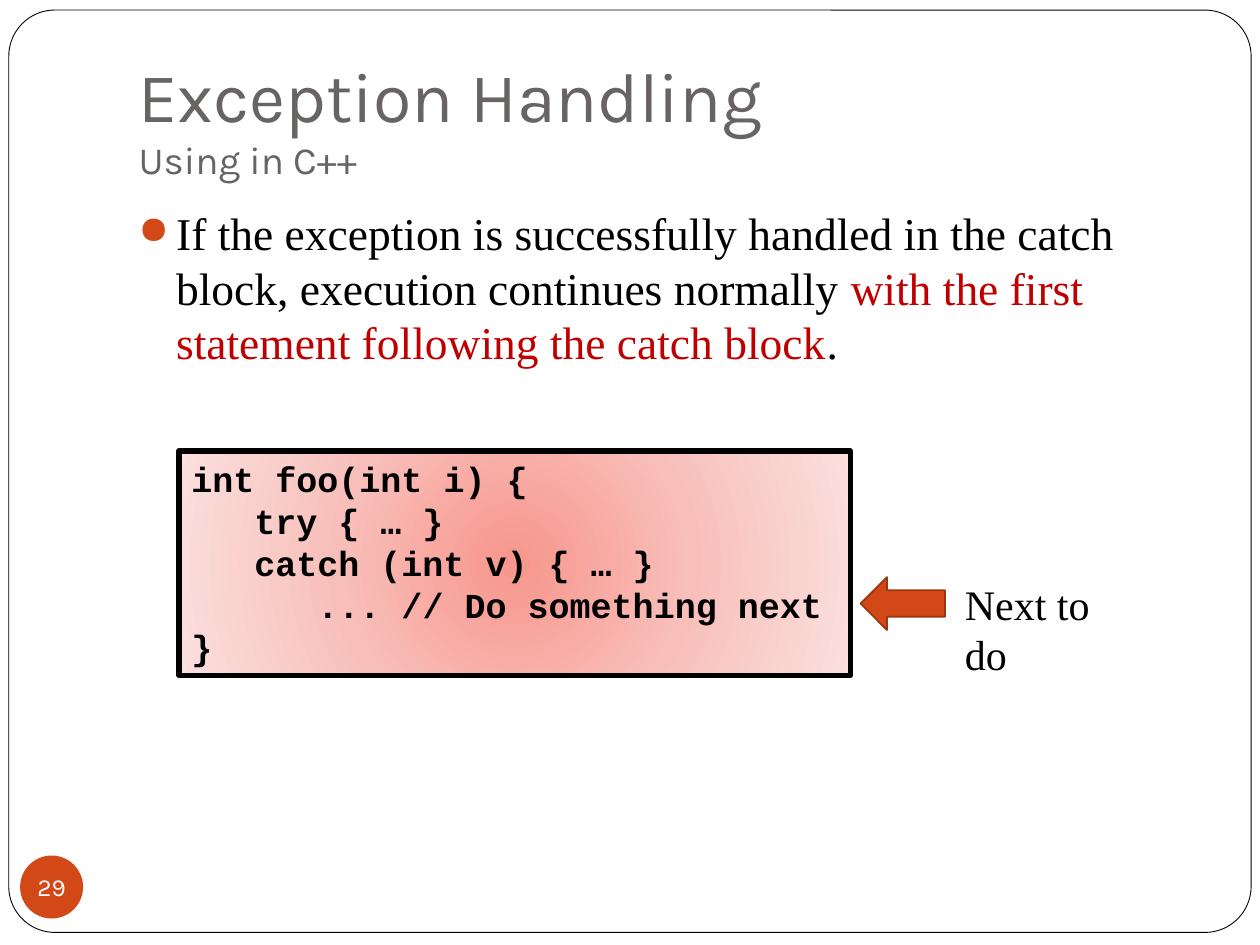
from dataclasses import dataclass

from lxml import etree
from pptx import Presentation
from pptx.dml.color import RGBColor
from pptx.enum.shapes import MSO_SHAPE
from pptx.enum.text import MSO_ANCHOR, PP_ALIGN
from pptx.oxml import parse_xml
from pptx.oxml.ns import nsdecls, qn
from pptx.util import Inches, Pt

ROUNDED, OVAL = MSO_SHAPE.ROUNDED_RECTANGLE, MSO_SHAPE.OVAL
RECTANGLE, LEFT_ARROW = MSO_SHAPE.RECTANGLE, MSO_SHAPE.LEFT_ARROW
TOP, MIDDLE, BOTTOM = MSO_ANCHOR.TOP, MSO_ANCHOR.MIDDLE, MSO_ANCHOR.BOTTOM
LEFT, CENTER = PP_ALIGN.LEFT, PP_ALIGN.CENTER

WIDTH, HEIGHT = Inches(10), Inches(7.5)
COLUMNS, ROWS = 100, 75


@dataclass(frozen=True)
class Style:
    font: str
    size: float
    color: str
    bold: bool = False


@dataclass(frozen=True)
class Theme:
    accent: str = "D34817"
    arrow_edge: str = "9C3511"
    ink: str = "000000"
    paper: str = "FFFFFF"
    glow: tuple = ((0, "F7968C"), (50, "F8BFBA"), (100, "FBE0DE"))
    title: Style = Style("Karla", 40, "696464")
    subtitle: Style = Style("Karla", 22, "696464")
    body: Style = Style("Times New Roman", 26, "000000")
    emphasis: Style = Style("Times New Roman", 26, "C00000")
    code: Style = Style("Courier New", 20, "000000", True)
    label: Style = Style("Times New Roman", 24, "000000")
    number: Style = Style("Karla", 14, "FFFFFF")


@dataclass(frozen=True)
class Area:
    column: float
    row: float
    columns: float
    rows: float

    def emu(self) -> tuple:
        across, down = WIDTH / COLUMNS, HEIGHT / ROWS
        return (int(self.column * across), int(self.row * down),
                int(self.columns * across), int(self.rows * down))


@dataclass(frozen=True)
class Figure:
    kind: int
    area: Area
    fill: str
    edge: str = ""
    edge_width: float = 0


THEME = Theme()
FRAME = Figure(ROUNDED, Area(0.7, 0.8, 98.6, 73.2), THEME.paper, THEME.ink, 0.5)
BADGE = Figure(OVAL, Area(1.6, 67.9, 5, 5), THEME.accent)
CODE_BOX = Figure(RECTANGLE, Area(14.2, 35.8, 53.3, 17.8), THEME.paper, THEME.ink, 3)
POINTER = Figure(LEFT_ARROW, Area(68.3, 45.8, 6.7, 4.2), THEME.accent, THEME.arrow_edge, 1)
TITLE_AREA = Area(10, 3, 85, 12.5)
BODY_AREA = Area(10, 15.8, 85, 50)
LABEL_AREA = Area(75.6, 45.4, 15.3, 5)

STATEMENT = (
    ("If the exception is successfully handled in the catch block, "
     "execution continues normally ", THEME.body),
    ("with the first statement following the catch block", THEME.emphasis),
    (".", THEME.body),
)
CODE_LINES = (
    "int foo(int i) {",
    "\ttry { … }",
    "\tcatch (int v) { … }",
    "      ... // Do something next",
    "}",
)


def add_run(paragraph, text: str, style: Style) -> None:
    run = paragraph.add_run()
    run.text = text
    run.font.name = style.font
    run.font.size = Pt(style.size)
    run.font.bold = style.bold
    run.font.color.rgb = RGBColor.from_string(style.color)


def draw_figure(slide, figure: Figure):
    shape = slide.shapes.add_shape(figure.kind, *figure.area.emu())
    shape.shadow.inherit = False
    shape.fill.solid()
    shape.fill.fore_color.rgb = RGBColor.from_string(figure.fill)
    if figure.edge:
        shape.line.color.rgb = RGBColor.from_string(figure.edge)
        shape.line.width = Pt(figure.edge_width)
    else:
        shape.line.fill.background()
    return shape


def add_text_area(slide, area: Area):
    frame = slide.shapes.add_textbox(*area.emu()).text_frame
    frame.word_wrap = True
    return frame


def apply_glow(shape, stops: tuple) -> None:
    marks = "".join(
        f'<a:gs pos="{share * 1000}"><a:srgbClr val="{color}"/></a:gs>'
        for share, color in stops)
    gradient = parse_xml(
        f'<a:gradFill {nsdecls("a")}><a:gsLst>{marks}</a:gsLst><a:path path="circle">'
        '<a:fillToRect l="50000" t="50000" r="50000" b="50000"/></a:path></a:gradFill>')
    properties = shape.element.spPr
    properties.replace(properties.find(qn("a:solidFill")), gradient)


def add_bullet(paragraph, mark: str, color: str, percent: int, indent: float) -> None:
    properties = paragraph._p.get_or_add_pPr()
    properties.set("marL", str(Inches(indent)))
    properties.set("indent", str(-Inches(indent)))
    bullet_color = etree.SubElement(properties, qn("a:buClr"))
    etree.SubElement(bullet_color, qn("a:srgbClr"), val=color)
    etree.SubElement(properties, qn("a:buSzPct"), val=str(percent * 1000))
    etree.SubElement(properties, qn("a:buChar"), char=mark)


def draw_title(slide):
    title = slide.shapes.title
    title.left, title.top, title.width, title.height = TITLE_AREA.emu()
    frame = title.text_frame
    frame.vertical_anchor = BOTTOM
    frame.margin_bottom = Inches(0.1)
    heading = frame.paragraphs[0]
    heading.alignment = LEFT
    add_run(heading, "Exception Handling", THEME.title)
    heading.add_line_break()
    add_run(heading, "Using in C++", THEME.subtitle)
    return title


def draw_statement(slide) -> None:
    statement = add_text_area(slide, BODY_AREA).paragraphs[0]
    add_bullet(statement, "●", THEME.accent, 85, 0.3)
    for text, style in STATEMENT:
        add_run(statement, text, style)


def draw_page_number(slide) -> None:
    frame = draw_figure(slide, BADGE).text_frame
    frame.margin_left = frame.margin_right = frame.margin_top = frame.margin_bottom = 0
    frame.word_wrap = False
    frame.vertical_anchor = MIDDLE
    frame.paragraphs[0].alignment = CENTER
    add_run(frame.paragraphs[0], "29", THEME.number)


def draw_code(slide) -> None:
    box = draw_figure(slide, CODE_BOX)
    apply_glow(box, THEME.glow)
    frame = box.text_frame
    frame.word_wrap = True
    frame.vertical_anchor = TOP
    for index, text in enumerate(CODE_LINES):
        line = frame.add_paragraph() if index else frame.paragraphs[0]
        line.alignment = LEFT
        add_run(line, text, THEME.code)


def main() -> None:
    deck = Presentation()
    deck.slide_width, deck.slide_height = WIDTH, HEIGHT
    slide = deck.slides.add_slide(deck.slide_layouts[5])
    title = draw_title(slide)
    border = draw_figure(slide, FRAME)
    border.adjustments[0] = 0.05
    title.element.addprevious(border.element)
    draw_statement(slide)
    draw_page_number(slide)
    draw_code(slide)
    draw_figure(slide, POINTER)
    add_run(add_text_area(slide, LABEL_AREA).paragraphs[0], "Next to do", THEME.label)
    deck.save("out.pptx")


if __name__ == "__main__":
    main()
